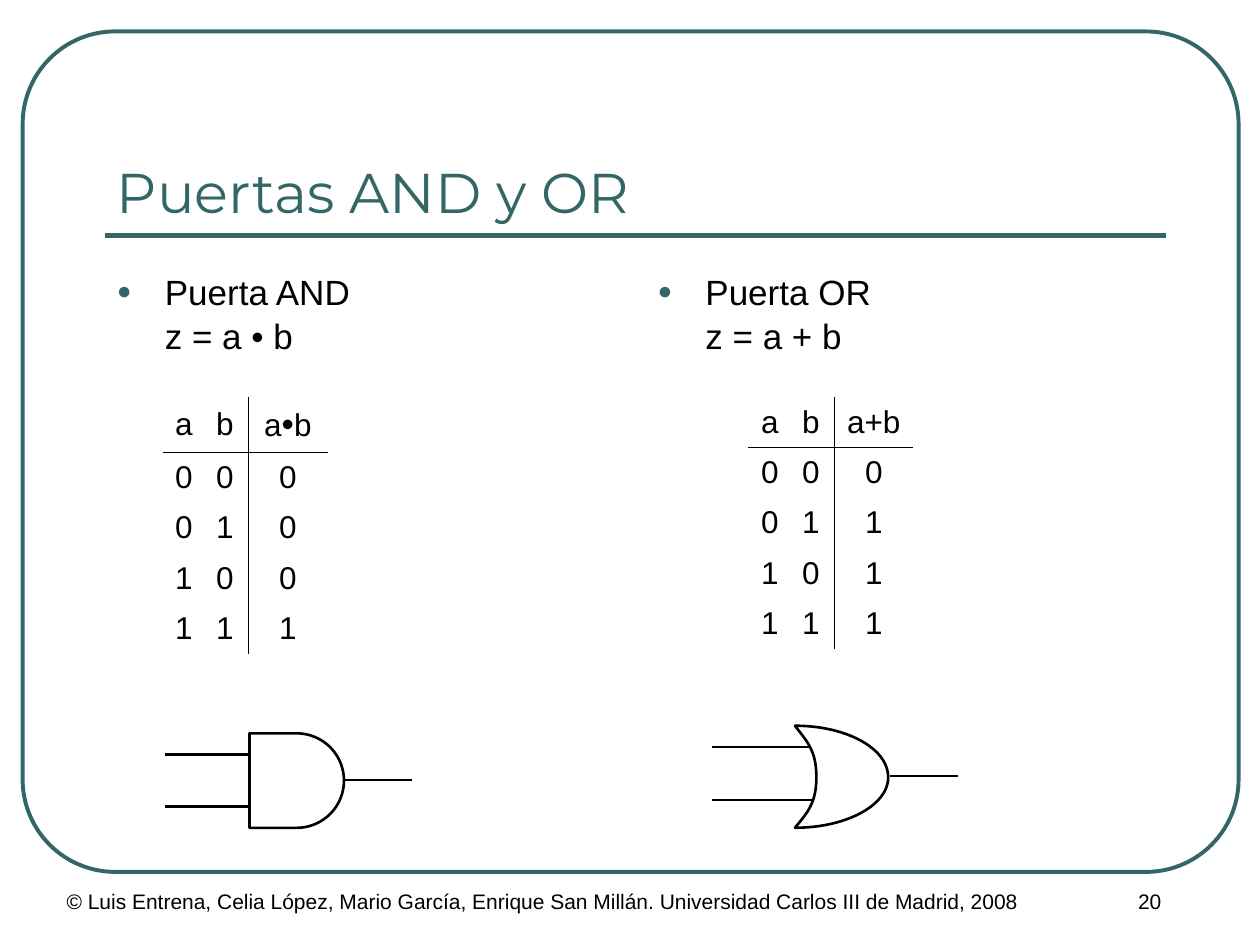
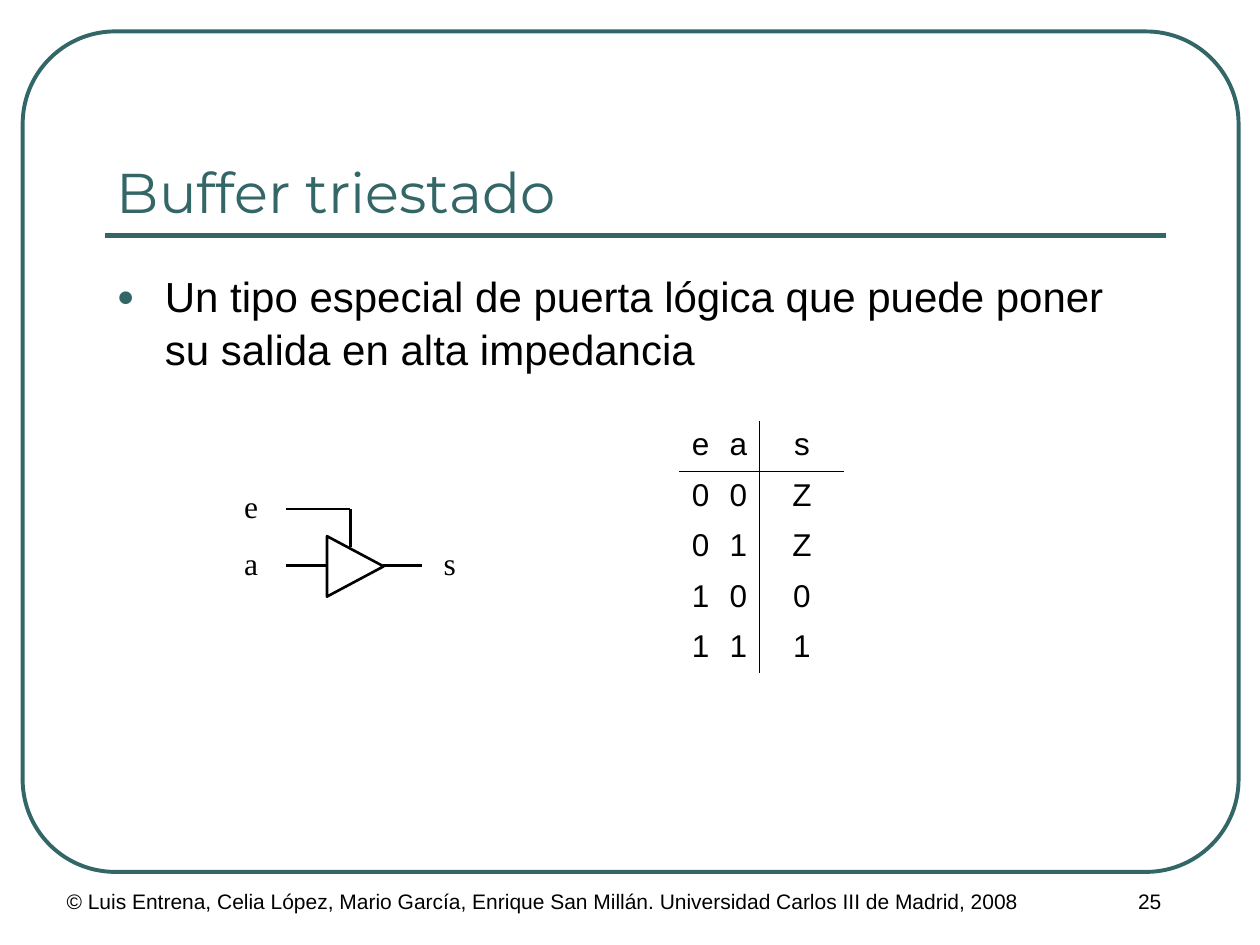
from dataclasses import dataclass

from lxml import etree
from pptx import Presentation
from pptx.dml.color import RGBColor
from pptx.enum.shapes import MSO_CONNECTOR, MSO_SHAPE
from pptx.enum.text import MSO_ANCHOR, PP_ALIGN
from pptx.oxml.ns import qn
from pptx.util import Emu, Pt

PX = 9144  # EMU per px, 100 px to the inch
COLORS = {"teal": "336666", "ink": "000000", "paper": "FFFFFF"}
LEFT, CENTER = PP_ALIGN.LEFT, PP_ALIGN.CENTER
TOP, MIDDLE, BOTTOM = MSO_ANCHOR.TOP, MSO_ANCHOR.MIDDLE, MSO_ANCHOR.BOTTOM
STRAIGHT = MSO_CONNECTOR.STRAIGHT
ROUNDED, DELAY = MSO_SHAPE.ROUNDED_RECTANGLE, MSO_SHAPE.FLOWCHART_DELAY
TRIANGLE = MSO_SHAPE.ISOSCELES_TRIANGLE

FORMATS = {
    "title": {"name": "Montserrat", "size": Pt(32)},
    "half": {"name": "Arial", "size": Pt(20)},
    "body": {"name": "Arial", "size": Pt(24)},
    "cell": {"name": "Arial", "size": Pt(18)},
    "dot": {"name": "Arial", "size": Pt(20)},
    "footer": {"name": "Arial", "size": Pt(12)},
    "pin": {"name": "Times New Roman", "size": Pt(18)},
}
FOOTER = ("© Luis Entrena, Celia López, Mario García, Enrique San Millán. "
          "Universidad Carlos III de Madrid, 2008")
GATE_WIDTH = 1.5
RULE_WIDTH = 0.45


@dataclass
class Box:
    x: int
    y: int
    w: int
    h: int

    def emu(self) -> list[Emu]:
        return [px(v) for v in (self.x, self.y, self.w, self.h)]


@dataclass
class Wire:
    x1: int
    y1: int
    x2: int
    y2: int
    width: float = GATE_WIDTH
    color: str = "ink"


@dataclass
class TruthTable:
    x: int
    y: int
    cols: list[int]
    header: list[str]
    outputs: str
    head_h: int = 40
    anchor: MSO_ANCHOR = MIDDLE

    def rows(self) -> list[list[str]]:
        """Header, then the input pairs in binary order with their output."""
        return [self.header] + [[*f"{i:02b}", out] for i, out in enumerate(self.outputs)]


def px(n: float) -> Emu:
    return Emu(round(n * PX))


def rgb(color: str) -> RGBColor:
    return RGBColor.from_string(COLORS[color])


def add_run(p, text: str, fmt: str, color: str = "ink") -> None:
    r = p.add_run()
    r.text = text
    for name, value in FORMATS[fmt].items():
        setattr(r.font, name, value)
    r.font.color.rgb = rgb(color)


def add_text(s, box: Box, text: str, fmt: str, color: str = "ink",
             align: PP_ALIGN = LEFT, anchor: MSO_ANCHOR = TOP, wrap: bool = True):
    tf = s.shapes.add_textbox(*box.emu()).text_frame
    tf.word_wrap = wrap
    tf.vertical_anchor = anchor
    p = tf.paragraphs[0]
    p.alignment = align
    for i, line in enumerate(text.split("\n")):
        if i:
            p.add_line_break()
        add_run(p, line, fmt, color)
    return p


def add_bullet(s, box: Box, text: str, fmt: str) -> None:
    p = add_text(s, box, text, fmt)
    p.line_spacing = 1.05
    pPr = p._p.get_or_add_pPr()
    pPr.set("marL", str(px(38)))
    pPr.set("indent", str(px(-38)))
    bu_clr = etree.SubElement(pPr, qn("a:buClr"))
    etree.SubElement(bu_clr, qn("a:srgbClr"), val=COLORS["teal"])
    etree.SubElement(pPr, qn("a:buSzPct"), val="70000")
    etree.SubElement(pPr, qn("a:buFont"), typeface="Arial")
    etree.SubElement(pPr, qn("a:buChar"), char="●")


def style_outline(sp, color: str, width: float, filled: bool = True) -> None:
    sp.shadow.inherit = False
    if filled:
        sp.fill.solid()
        sp.fill.fore_color.rgb = rgb("paper")
    else:
        sp.fill.background()
    sp.line.color.rgb = rgb(color)
    sp.line.width = Pt(width)


def add_wires(s, *wires: Wire) -> None:
    for w in wires:
        c = s.shapes.add_connector(STRAIGHT, px(w.x1), px(w.y1), px(w.x2), px(w.y2))
        c.line.color.rgb = rgb(w.color)
        c.line.width = Pt(w.width)
        etree.SubElement(c._element.spPr, qn("a:effectLst"))


def add_gate(s, kind: MSO_SHAPE, box: Box, rotation: int = 0) -> None:
    sp = s.shapes.add_shape(kind, *box.emu())
    sp.rotation = rotation
    style_outline(sp, "ink", GATE_WIDTH)


def bezier(points: list[tuple[int, int]], steps: int = 24) -> list[tuple[int, int]]:
    """Points along a cubic curve, without its start, in EMU."""
    curve = []
    for i in range(1, steps + 1):
        t = i / steps
        weights = ((1 - t) ** 3, 3 * t * (1 - t) ** 2, 3 * t * t * (1 - t), t ** 3)
        curve.append(tuple(px(sum(w * pt[axis] for w, pt in zip(weights, points)))
                           for axis in (0, 1)))
    return curve


def add_or_gate(s) -> None:
    top, back, bottom, tip = (631, 576), (648, 617), (631, 657), (705, 617)
    curves = [
        [top, (640, 588), (648, 595), back],
        [back, (648, 638), (640, 646), bottom],
        [bottom, (672, 657), (705, 639), tip],
        [tip, (705, 594), (672, 576), top],
    ]
    builder = s.shapes.build_freeform(px(top[0]), px(top[1]), scale=1.0)
    builder.add_line_segments([pt for c in curves for pt in bezier(c)], close=True)
    style_outline(builder.convert_to_shape(), "ink", GATE_WIDTH)


def set_borders(cell, ruled: str) -> None:
    """Rule the sides named in ruled (L, R, T, B) and clear the others."""
    tcPr = cell._tc.get_or_add_tcPr()
    for i, side in enumerate("LRTB"):
        ln = etree.Element(qn(f"a:ln{side}"), w=str(Pt(RULE_WIDTH)))
        if side in ruled:
            fill = etree.SubElement(ln, qn("a:solidFill"))
            etree.SubElement(fill, qn("a:srgbClr"), val=COLORS["ink"])
        else:
            etree.SubElement(ln, qn("a:noFill"))
        tcPr.insert(i, ln)


def add_truth_table(s, t: TruthTable) -> None:
    rows = t.rows()
    heights = [t.head_h] + [40] * (len(rows) - 1)
    box = Box(t.x, t.y, sum(t.cols), sum(heights))
    table = s.shapes.add_table(len(rows), len(t.cols), *box.emu()).table
    table.first_row = table.horz_banding = False
    for col, w in zip(table.columns, t.cols):
        col.width = px(w)
    for i, (values, h) in enumerate(zip(rows, heights)):
        table.rows[i].height = px(h)
        for j, value in enumerate(values):
            cell = table.cell(i, j)
            cell.fill.background()
            cell.vertical_anchor = t.anchor
            p = cell.text_frame.paragraphs[0]
            p.alignment = CENTER
            before, dot, after = value.partition("•")
            for text, fmt in ((before, "cell"), (dot, "dot"), (after, "cell")):
                if text:
                    add_run(p, text, fmt)
            # Header underline and the divider before the output column
            set_borders(cell, {0: "B", 1: "T"}.get(i, "") + {1: "R", 2: "L"}.get(j, ""))


def add_base(prs, title: str, number: int):
    """Slide with the shared frame, title rule, footer and title."""
    s = prs.slides.add_slide(prs.slide_layouts[6])
    frame = s.shapes.add_shape(ROUNDED, *Box(18, 25, 965, 667).emu())
    frame.adjustments[0] = 0.11
    style_outline(frame, "teal", 2.25, filled=False)
    add_wires(s, Wire(83, 187, 925, 187, 3, "teal"))
    add_text(s, Box(43, 700, 850, 50), FOOTER, "footer")
    add_text(s, Box(825, 700, 175, 50), str(number), "footer", align=CENTER)
    add_text(s, Box(83, 58, 842, 125), title, "title", "teal", anchor=BOTTOM)
    return s


def build_and_or(prs) -> None:
    s = add_base(prs, "Puertas AND y OR", 20)
    add_bullet(s, Box(83, 208, 412, 483), "Puerta AND\nz = a • b", "half")
    add_bullet(s, Box(512, 208, 412, 483), "Puerta OR\nz = a + b", "half")
    cols = [31, 37, 63]
    add_truth_table(s, TruthTable(129, 315, cols, ["a", "b", "a•b"], "0001", head_h=44))
    add_truth_table(s, TruthTable(594, 315, cols, ["a", "b", "a+b"], "0111"))
    # OR gate: the inputs run behind its curved back
    add_wires(s, Wire(565, 635, 648, 635), Wire(565, 593, 648, 593))
    add_or_gate(s)
    add_wires(s, Wire(706, 616, 760, 616))
    # AND gate
    add_gate(s, DELAY, Box(198, 582, 75, 75))
    add_wires(s, Wire(131, 599, 198, 599), Wire(131, 640, 198, 640),
              Wire(273, 619, 327, 619))


def build_tristate(prs) -> None:
    s = add_base(prs, "Buffer triestado", 25)
    add_bullet(s, Box(83, 208, 842, 483),
               "Un tipo especial de puerta lógica que puede poner su salida en alta impedancia",
               "body")
    # Buffer with its output, input and enable wires
    add_wires(s, Wire(304, 449, 335, 449), Wire(260, 449, 227, 449))
    add_gate(s, TRIANGLE, Box(258, 427, 48, 45), rotation=90)
    add_wires(s, Wire(278, 434, 278, 404), Wire(278, 404, 227, 404, 1))
    add_truth_table(s, TruthTable(539, 334, [30, 34, 67], ["e", "a", "s"], "ZZ01",
                                  anchor=TOP))
    for name, x, y in (("a", 184, 427), ("e", 184, 382), ("s", 342, 427)):
        add_text(s, Box(x, y, 30, 40), name, "pin", align=CENTER, wrap=False)


def main() -> None:
    prs = Presentation()
    prs.slide_width, prs.slide_height = px(1000), px(750)
    build_and_or(prs)
    build_tristate(prs)
    prs.save("out.pptx")


if __name__ == "__main__":
    main()
